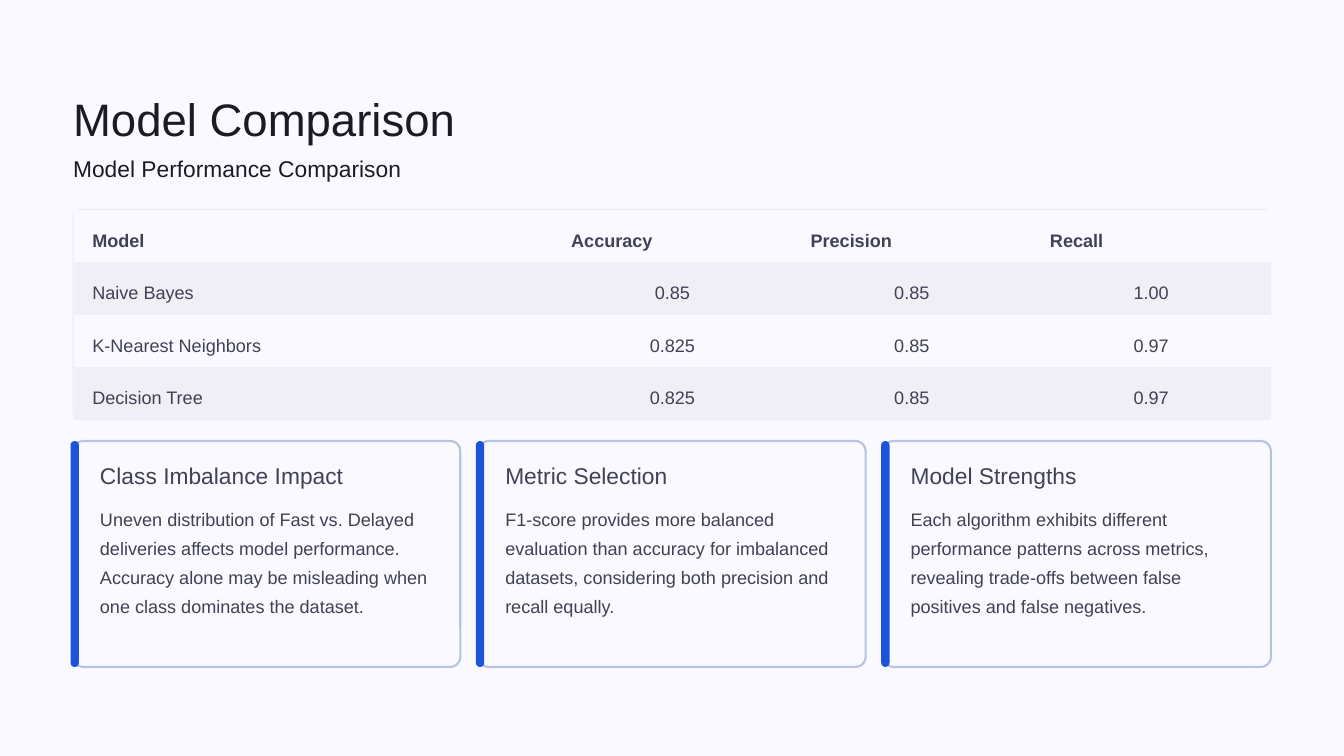
from pptx import Presentation
from pptx.dml.color import RGBColor
from pptx.enum.shapes import MSO_SHAPE
from pptx.enum.text import MSO_ANCHOR, MSO_AUTO_SIZE, PP_ALIGN
from pptx.util import Inches, Pt

ROUND = MSO_SHAPE.ROUNDED_RECTANGLE
TOP = MSO_ANCHOR.TOP
FIXED = MSO_AUTO_SIZE.NONE
LEFT, CENTER = PP_ALIGN.LEFT, PP_ALIGN.CENTER

FONT = "Arial"
PAPER, BAND, EDGE = "F9F9FF", "EFEFF5", "E5E5EB"
DARK, TEXT = "1B1B27", "404155"
BLUE, FRAME = "1B54DA", "B8C3DF"
PLAIN = "{2D5ABB26-0587-4C30-8999-92F81FD0307C}"  # table style without grid

ROWS = [
    ("Model", "Accuracy", "Precision", "Recall"),
    ("Naive Bayes", "0.85", "0.85", "1.00"),
    ("K-Nearest Neighbors", "0.825", "0.85", "0.97"),
    ("Decision Tree", "0.825", "0.85", "0.97"),
]
WIDTHS = (5.7, 2.85, 2.85, 2.85)

CARDS = [
    ("Class Imbalance Impact",
     "Uneven distribution of Fast vs. Delayed deliveries affects model "
     "performance. Accuracy alone may be misleading when one class "
     "dominates the dataset."),
    ("Metric Selection",
     "F1-score provides more balanced evaluation than accuracy for "
     "imbalanced datasets, considering both precision and recall equally."),
    ("Model Strengths",
     "Each algorithm exhibits different performance patterns across "
     "metrics, revealing trade-offs between false positives and false "
     "negatives."),
]


def color(code):
    return RGBColor.from_string(code)


def write(frame, words, size, lead, ink=TEXT, bold=False, align=LEFT):
    para = frame.paragraphs[0]
    para.alignment = align
    para.line_spacing = Pt(lead)
    run = para.add_run()
    run.text = words
    run.font.name = FONT
    run.font.size = Pt(size)
    run.font.bold = bold
    run.font.color.rgb = color(ink)


def strip(frame, wrap):
    frame.margin_left = frame.margin_right = 0
    frame.margin_top = frame.margin_bottom = 0
    frame.vertical_anchor = TOP
    frame.auto_size = FIXED
    frame.word_wrap = wrap


def add_text(slide, box, words, size, lead, ink=TEXT, wrap=False):
    frame = slide.shapes.add_textbox(*map(Inches, box)).text_frame
    strip(frame, wrap)
    write(frame, words, size, lead, ink)


def add_round(slide, box, bend, fill=None, line=None, width=0):
    shape = slide.shapes.add_shape(ROUND, *map(Inches, box))
    shape.shadow.inherit = False
    shape.adjustments[0] = bend
    if fill:
        shape.fill.solid()
        shape.fill.fore_color.rgb = color(fill)
    else:
        shape.fill.background()
    if line:
        shape.line.color.rgb = color(line)
        shape.line.width = Pt(width)
    else:
        shape.line.fill.background()


def add_title(slide, words):
    title = slide.shapes.title
    title.left, title.top = Inches(0.87), Inches(1.06)
    title.width, title.height = Inches(5.43), Inches(0.68)
    strip(title.text_frame, False)
    write(title.text_frame, words, 39, 48.5, DARK)


def add_scores(slide):
    box = map(Inches, (0.88, 2.5, sum(WIDTHS), 2.5))
    table = slide.shapes.add_table(len(ROWS), len(WIDTHS), *box).table
    table.horz_banding = False
    table._tbl.tblPr.find("{*}tableStyleId").text = PLAIN
    for col, width in zip(table.columns, WIDTHS):
        col.width = Inches(width)
    for r, row in enumerate(ROWS):
        for c, words in enumerate(row):
            cell = table.cell(r, c)
            cell.fill.solid()
            cell.fill.fore_color.rgb = color(BAND if r % 2 else PAPER)
            cell.margin_left = cell.margin_right = Inches(0.22)
            cell.margin_top, cell.margin_bottom = Inches(0.14), Inches(0.1)
            cell.vertical_anchor = TOP
            align = CENTER if r and c else LEFT
            write(cell.text_frame, words, 15.5, 25, bold=r == 0, align=align)


def add_card(slide, left, head, body):
    add_round(slide, (left, 5.25, 4.61, 2.69), 0.045, PAPER, FRAME, 1.8)
    add_round(slide, (left - 0.03, 5.25, 0.1, 2.69), 0.5, BLUE)
    add_text(slide, (left + 0.32, 5.49, 4.05, 0.34), head, 19.5, 24)
    add_text(slide, (left + 0.32, 5.96, 4.05, 1.74), body, 15.5, 25, wrap=True)


def main():
    deck = Presentation()
    deck.slide_width, deck.slide_height = Inches(16), Inches(9)
    slide = deck.slides.add_slide(deck.slide_layouts[5])
    slide.background.fill.solid()
    slide.background.fill.fore_color.rgb = color(PAPER)

    # Headings
    add_title(slide, "Model Comparison")
    add_text(slide, (0.87, 1.83, 4.38, 0.34), "Model Performance Comparison",
             19.5, 24, DARK)

    # Score table inside a thin rounded frame
    add_round(slide, (0.87, 2.49, 14.26, 2.51), 0.036, line=EDGE, width=0.6)
    add_scores(slide)

    # Three cards, evenly spaced
    for i, (head, body) in enumerate(CARDS):
        add_card(slide, 0.87 + i * 4.825, head, body)

    deck.save("out.pptx")


if __name__ == "__main__":
    main()
